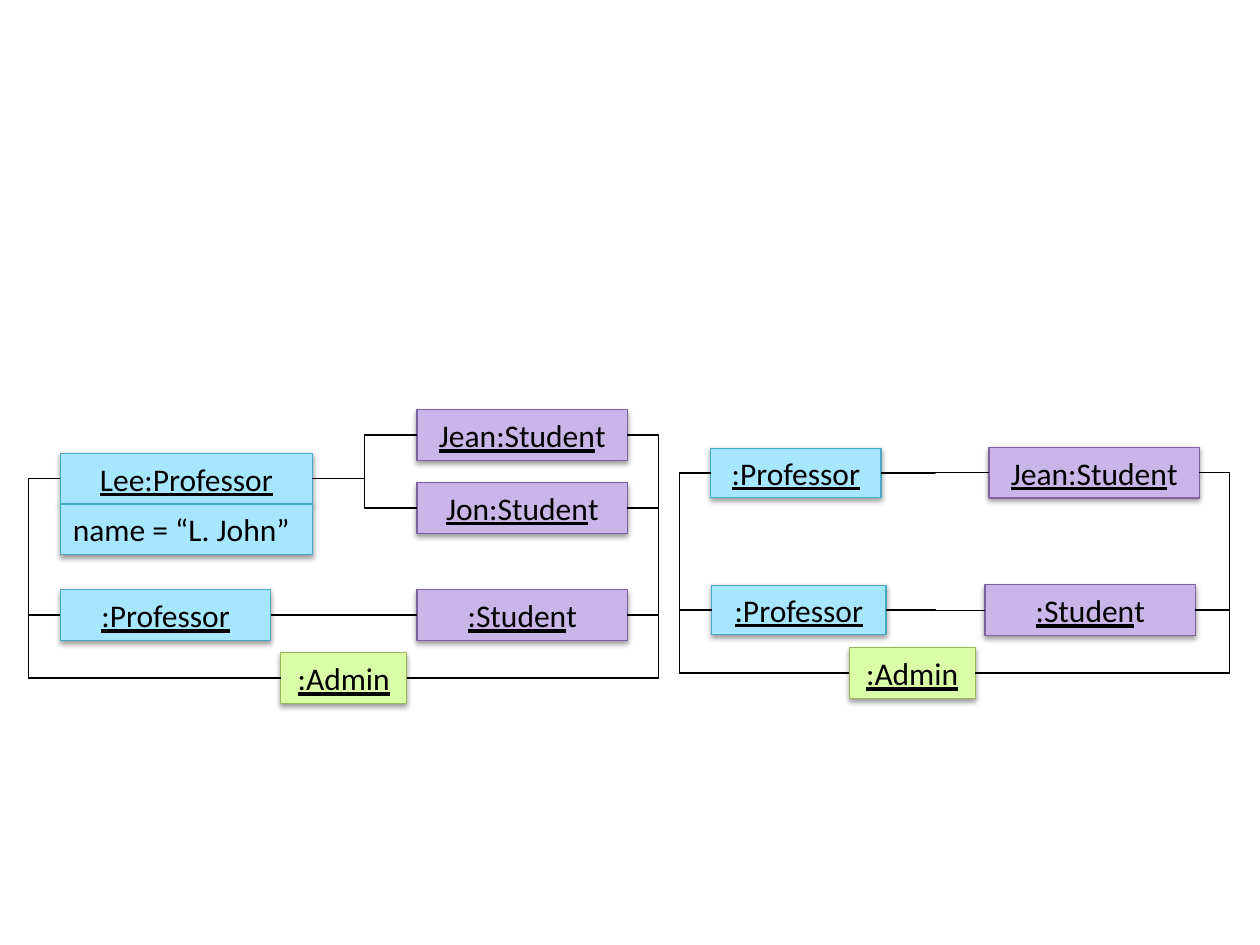
from lxml import etree
from pptx import Presentation
from pptx.dml.color import RGBColor
from pptx.enum.shapes import MSO_CONNECTOR, MSO_SHAPE
from pptx.enum.text import MSO_ANCHOR, MSO_AUTO_SIZE, PP_ALIGN
from pptx.oxml.ns import qn
from pptx.util import Cm, Pt

RECTANGLE = MSO_SHAPE.RECTANGLE
ELBOW = MSO_CONNECTOR.ELBOW
MIDDLE = MSO_ANCHOR.MIDDLE
GROW = MSO_AUTO_SIZE.SHAPE_TO_FIT_TEXT
CENTER, LEFT_ALIGN = PP_ALIGN.CENTER, PP_ALIGN.LEFT
LEFT, RIGHT = 1, 3  # connection sites of a rectangle

BLACK = "000000"
PROFESSOR = ("A7E6FF", "46AAC5")
STUDENT = ("C9B5E8", "7D60A0")
ADMIN = ("DAFDA7", "98B955")
ROW_HEIGHT = 1.02
STUDENT_WIDTH = 4.24


def color(value):
    return RGBColor.from_string(value)


def add_shadow(shape):
    shape.shadow.inherit = False
    effects = shape._element.spPr.find(qn("a:effectLst"))
    shadow = etree.SubElement(effects, qn("a:outerShdw"), blurRad="40000",
                              dist="20000", dir="5400000", rotWithShape="0")
    black = etree.SubElement(shadow, qn("a:srgbClr"), val=BLACK)
    etree.SubElement(black, qn("a:alpha"), val="38000")


def write(para, text, size=18, font="Calibri", fill=BLACK, underline=False):
    span = para.add_run()
    span.text = text
    span.font.size = Pt(size)
    span.font.name = font
    span.font.color.rgb = color(fill)
    span.font.underline = underline


def add_box(slide, text, colors, left, top, width, height=ROW_HEIGHT,
            tail="", underline=True, align=CENTER):
    """Add an object box; the tail of its text is never underlined."""
    box = slide.shapes.add_shape(RECTANGLE, Cm(left), Cm(top), Cm(width), Cm(height))
    fill, line = colors
    box.fill.solid()
    box.fill.fore_color.rgb = color(fill)
    box.line.color.rgb = color(line)
    box.line.width = Pt(0.75)
    add_shadow(box)
    frame = box.text_frame
    frame.vertical_anchor = MIDDLE
    frame.auto_size = GROW
    para = frame.paragraphs[0]
    para.alignment = align
    write(para, text, underline=underline)
    if tail:
        write(para, tail)
    return box


def add_student(slide, name, left, top):
    return add_box(slide, name + ":Studen", STUDENT, left, top, STUDENT_WIDTH, tail="t")


def link(slide, start, start_site, end, end_site, bend=None):
    """Join two boxes; bend is the place of the upright part, halfway if absent."""
    connector = slide.shapes.add_connector(ELBOW, 0, 0, 0, 0)
    connector.begin_connect(start, start_site)
    connector.end_connect(end, end_site)
    connector.line.color.rgb = color(BLACK)
    connector.line.width = Pt(0.75)
    properties = connector._element.spPr
    etree.SubElement(properties, qn("a:effectLst"))
    if bend is not None:
        share = (Cm(bend) - connector.begin_x) / (connector.end_x - connector.begin_x)
        guides = properties.find(qn("a:prstGeom")).get_or_add_avLst()
        etree.SubElement(guides, qn("a:gd"), name="adj1",
                         fmla=f"val {round(share * 100000)}")


def link_admin(slide, admin, professors, students, left_bend, right_bend):
    for professor in professors:
        link(slide, admin, LEFT, professor, LEFT, left_bend)
    for student in students:
        link(slide, admin, RIGHT, student, RIGHT, right_bend)


def add_named_diagram(slide):
    lee = add_box(slide, "Lee:Professor", PROFESSOR, 1.22, 9.14, 5.08)
    add_box(slide, "name = “L. John”", PROFESSOR, 1.22, 9.14 + ROW_HEIGHT, 5.08,
            underline=False, align=LEFT_ALIGN)
    professor = add_box(slide, ":Professor", PROFESSOR, 1.22, 11.89, 4.24)
    jean = add_student(slide, "Jean", 8.41, 8.26)
    jon = add_student(slide, "Jon", 8.41, 9.73)
    student = add_student(slide, "", 8.41, 11.89)
    admin = add_box(slide, ":Admin", ADMIN, 5.66, 13.16, 2.54)

    for start, end in ((lee, jean), (lee, jon), (professor, student)):
        link(slide, start, RIGHT, end, LEFT)
    link_admin(slide, admin, (lee, professor), (jean, jon, student), 0.58, 13.28)


def add_short_diagram(slide):
    upper = add_box(slide, ":Professor", PROFESSOR, 14.33, 9.04, 3.43, 0.99)
    lower = add_box(slide, ":Professor", PROFESSOR, 14.35, 11.8, 3.51, 0.99)
    jean = add_student(slide, "Jean", 19.94, 9.02)
    student = add_student(slide, "", 19.86, 11.79)
    admin = add_box(slide, ":Admin", ADMIN, 17.12, 13.06, 2.54)

    link(slide, upper, RIGHT, jean, LEFT)
    link(slide, lower, RIGHT, student, LEFT)
    link_admin(slide, admin, (upper, lower), (jean, student), 13.7, 24.79)


def main():
    deck = Presentation()
    deck.slide_width, deck.slide_height = Cm(25.4), Cm(19.05)
    page = deck.slides.add_slide(deck.slide_layouts[6])
    add_named_diagram(page)
    add_short_diagram(page)
    deck.save("out.pptx")


if __name__ == "__main__":
    main()
